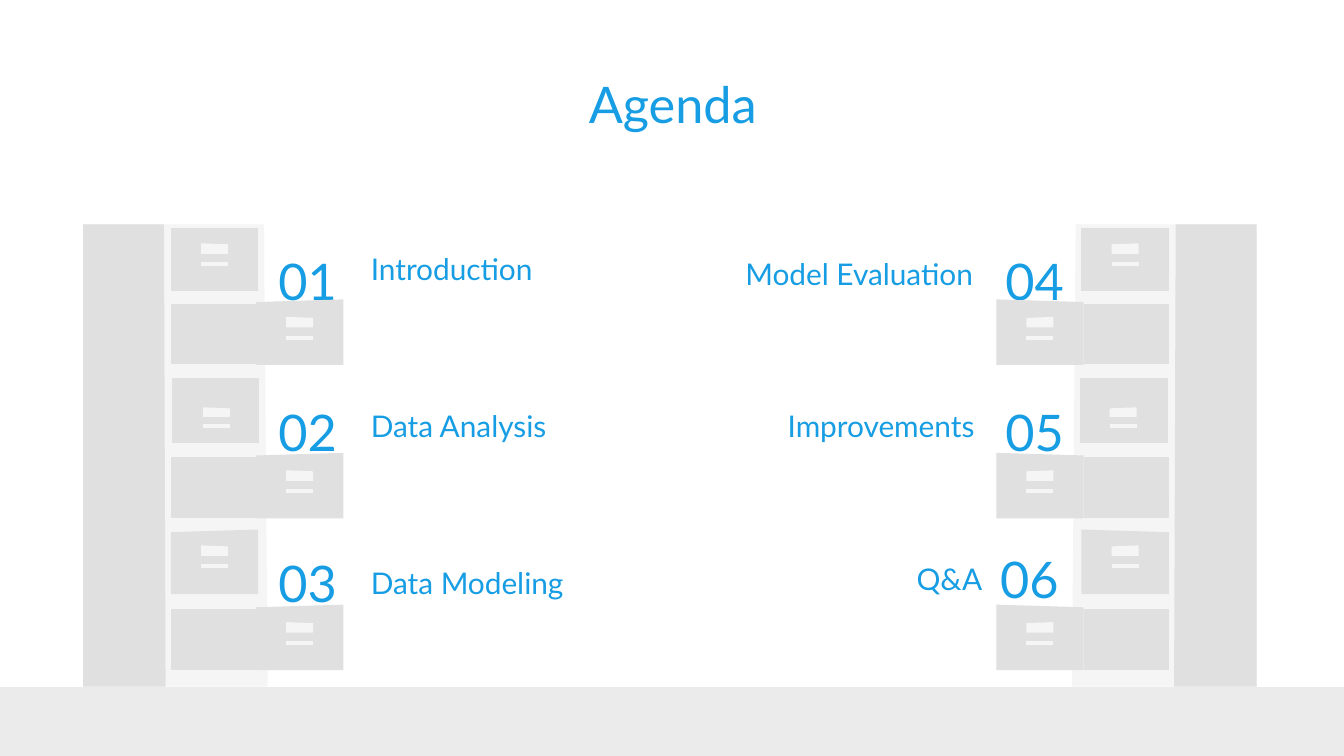
from pptx import Presentation
from pptx.dml.color import RGBColor
from pptx.enum import text
from pptx.util import Cm, Pt

COLORS = {"accent": "179DE3", "floor": "EBEBEB", "front": "E0E0E0", "frame": "F5F5F5"}
SLIDE_WIDTH, SLIDE_HEIGHT = 25.4, 14.29
FLOOR_TOP = 12.98
MIRROR_SUM = 25.32  # left x + mirrored right x


def add_outline(shapes, points, color, mirrored=False):
    """Add a filled polygon, with points in centimetres."""
    points = [(Cm(MIRROR_SUM - x if mirrored else x), Cm(y)) for x, y in points]
    builder = shapes.build_freeform(*points[0])
    builder.add_line_segments(points[1:], close=True)
    shape = builder.convert_to_shape()
    shape.shadow.inherit = False
    shape.fill.solid()
    shape.fill.fore_color.rgb = RGBColor.from_string(COLORS[color])
    shape.line.fill.background()


def write_text(shape, box, words, size, align, anchor):
    shape.left, shape.top, shape.width, shape.height = [Cm(value) for value in box]
    frame = shape.text_frame
    frame.auto_size = text.MSO_AUTO_SIZE.NONE
    frame.word_wrap = True
    frame.vertical_anchor = anchor
    frame.margin_left = frame.margin_right = Cm(0.25)
    frame.margin_top = frame.margin_bottom = Cm(0.25)
    paragraph = frame.paragraphs[0]
    paragraph.alignment = align
    run = paragraph.add_run()
    run.text = words
    run.font.name = "Lato"
    run.font.size = Pt(size)
    run.font.color.rgb = RGBColor.from_string(COLORS["accent"])


presentation = Presentation()
presentation.slide_width = Cm(SLIDE_WIDTH)
presentation.slide_height = Cm(SLIDE_HEIGHT)
slide = presentation.slides.add_slide(presentation.slide_layouts[5])

LEFT, CENTER, RIGHT = text.PP_ALIGN.LEFT, text.PP_ALIGN.CENTER, text.PP_ALIGN.RIGHT
TOP, MIDDLE, BOTTOM = text.MSO_ANCHOR.TOP, text.MSO_ANCHOR.MIDDLE, text.MSO_ANCHOR.BOTTOM

add_outline(slide.shapes, [(0, FLOOR_TOP), (0, SLIDE_HEIGHT),
                           (SLIDE_WIDTH, SLIDE_HEIGHT), (SLIDE_WIDTH, FLOOR_TOP)], "floor")
write_text(slide.shapes.title, (2.01, 1.5, 21.41, 0.89), "Agenda", 27, CENTER, MIDDLE)

# Topic, its box, its alignment, and left and top of its number
agenda = [
    ("Introduction", (6.76, 4.62, 6.22, 1.04), LEFT, 4.9, 4.47),
    ("Data Analysis", (6.76, 7.49, 6.53, 1.14), LEFT, 4.9, 7.34),
    ("Data Modeling", (6.76, 10.36, 5.69, 1.24), LEFT, 4.9, 10.19),
    ("Model Evaluation", (13.08, 4.62, 5.56, 1.14), RIGHT, 18.64, 4.47),
    ("Improvements", (12.98, 7.49, 5.69, 1.14), RIGHT, 18.64, 7.34),
    ("Q&A", (13.13, 10.39, 5.69, 1.14), RIGHT, 18.54, 10.11),
]
for number, (topic, box, align, number_left, number_top) in enumerate(agenda, 1):
    for words, place, size, alignment, anchor in [
        (topic, box, 16, align, BOTTOM),
        (f"{number:02}", (number_left, number_top, 1.83, 2.44), 27, CENTER, TOP),
    ]:
        textbox = slide.shapes.add_textbox(0, 0, 0, 0)
        write_text(textbox, place, words, size, alignment, anchor)

# Drawer: left, top, bottom, slope of its top edge;
# label: left, top, height; handle: top, height
drawers = [
    (3.23, 4.32, 5.5, 0, 3.8, 4.6, 0.2, 4.95, 0.08),
    (3.25, 7.14, 8.38, 0, 3.84, 7.7, 0.18, 8.02, 0.07),
    (3.23, 10.01, 11.23, 0.05, 3.8, 10.31, 0.2, 10.67, 0.07),
]
open_tops = [5.66, 8.56, 11.43]
drawers += [(4.84, top, top + 1.24, 0.05, 5.41, top + 0.33, 0.2, top + 0.69, 0.07)
            for top in open_tops]

for mirrored in (True, False):
    cabinet = slide.shapes.add_group_shape().shapes
    add_outline(cabinet, [(1.57, 4.24), (1.57, FLOOR_TOP), (5.06, FLOOR_TOP), (4.99, 4.24)],
                "frame", mirrored)
    add_outline(cabinet, [(1.57, 4.24), (1.57, FLOOR_TOP), (3.13, FLOOR_TOP), (3.1, 4.24)],
                "front", mirrored)
    for left, top, bottom, slope, label_left, label_top, label_height, handle, thickness in drawers:
        right, label_right = left + 1.65, label_left + 0.51
        label_bottom = label_top + label_height
        add_outline(cabinet, [(right, top), (left, top + slope), (left, bottom), (right, bottom)],
                    "front", mirrored)
        add_outline(cabinet, [(label_left, label_top), (label_left, label_bottom),
                              (label_right, label_bottom), (label_right, label_top + 0.02)],
                    "frame", mirrored)
        add_outline(cabinet, [(label_left, handle), (label_left, handle + thickness),
                              (label_right, handle + thickness), (label_right, handle)],
                    "frame", mirrored)
    for top in open_tops:
        add_outline(cabinet, [(3.23, top + 0.08), (3.23, top + 1.23),
                              (4.84, top + 1.23), (4.84, top + 0.08)], "front", mirrored)

presentation.save("out.pptx")
